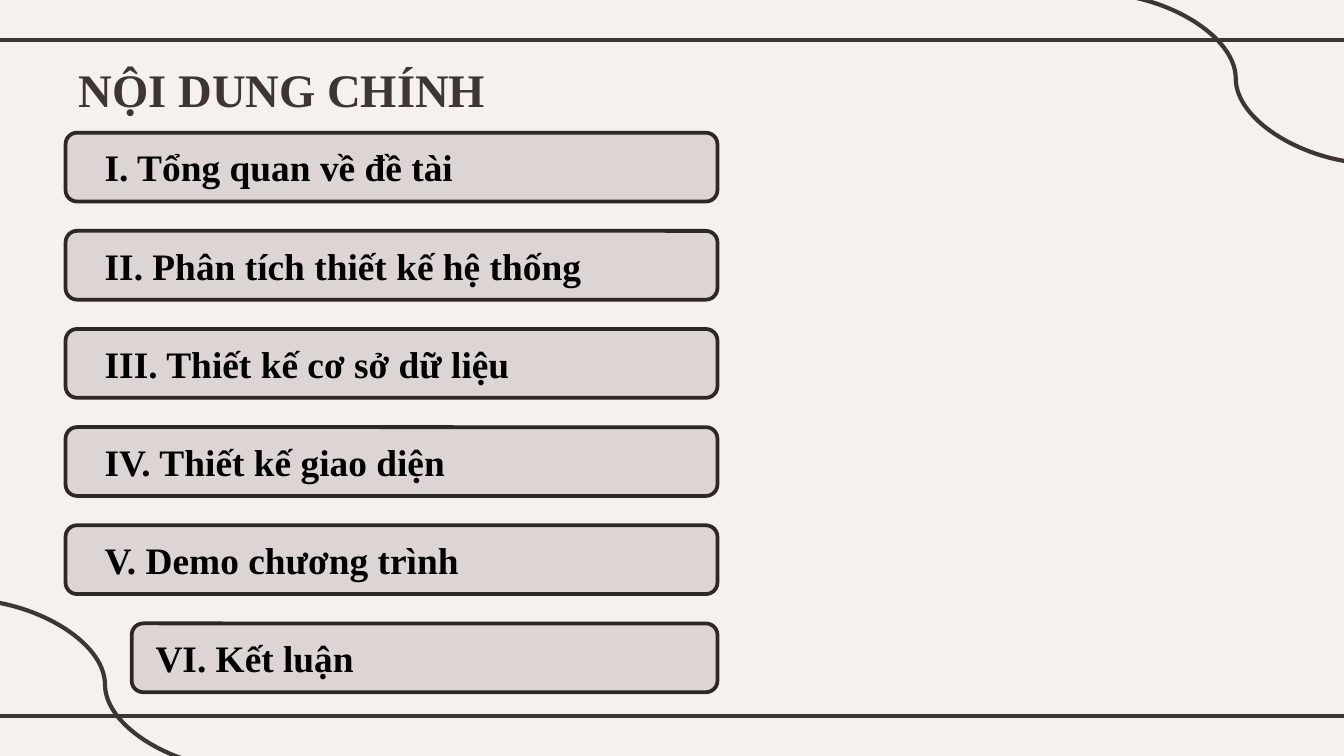
"""Build the contents slide with its six section bars."""
from typing import NamedTuple

from lxml.etree import SubElement
from pptx import Presentation
from pptx.dml.color import RGBColor
from pptx.enum.shapes import MSO_CONNECTOR, MSO_SHAPE
from pptx.oxml.ns import qn
from pptx.util import Cm, Pt

PAPER = RGBColor(0xF5, 0xF2, 0xEE)
BROWN = RGBColor(0x3F, 0x35, 0x33)
EDGE = RGBColor(0x2F, 0x27, 0x26)
MAUVE = RGBColor(0xDC, 0xD5, 0xD3)
BLACK = RGBColor(0, 0, 0)
FONT = "Times New Roman"
TOP, STEP, RIGHT = 2.51, 1.855, 13.56


class Stroke(NamedTuple):
    kind: MSO_CONNECTOR
    left: float
    top: float
    right: float
    base: float


class Item(NamedTuple):
    text: str
    width: float
    left: float = 1.24
    inset: float = 0.49


STROKES = [
    Stroke(MSO_CONNECTOR.STRAIGHT, -0.2, 0.76, 25.6, 0.76),
    Stroke(MSO_CONNECTOR.STRAIGHT, -0.2, 13.54, 25.6, 13.54),
    Stroke(MSO_CONNECTOR.CURVE, -0.69, 11.33, 4.66, 14.55),
    Stroke(MSO_CONNECTOR.CURVE, 20.68, -0.13, 26.03, 3.1),
]
ITEMS = [
    Item("I. Tổng quan về đề tài", 10.49),
    Item("II. Phân tích thiết kế hệ thống", 10.8),
    Item("III. Thiết kế cơ sở dữ liệu", 11.28),
    Item("IV. Thiết kế giao diện", 9.96),
    Item("V. Demo chương trình", 10.8),
    Item("VI. Kết luận", 9.8, 2.49, 0.2),
]


def draw_stroke(shapes, stroke: Stroke) -> None:
    """Draw one ruled line or corner curve."""
    line = shapes.add_connector(stroke.kind, *map(Cm, stroke[1:]))
    line.line.color.rgb = BROWN
    line.line.width = Pt(2.25)
    SubElement(line._element.spPr, qn("a:effectLst"))


def draw_text(shapes, text: str, left: float, top: float, width: float,
              height: float, size: float, color: RGBColor) -> None:
    """Draw one bold line of text."""
    box = shapes.add_textbox(Cm(left), Cm(top), Cm(width), Cm(height))
    frame = box.text_frame
    frame.word_wrap = True
    frame.text = text
    font = frame.paragraphs[0].font
    font.name, font.size, font.bold = FONT, Pt(size), True
    font.color.rgb = color


def draw_bar(shapes, item: Item, top: float) -> None:
    """Draw the rounded bar behind one item."""
    bar = shapes.add_shape(MSO_SHAPE.ROUNDED_RECTANGLE, Cm(item.left), Cm(top),
                           Cm(RIGHT - item.left), Cm(1.3))
    bar.shadow.inherit = False
    bar.fill.solid()
    bar.fill.fore_color.rgb = MAUVE
    bar.line.color.rgb = EDGE
    bar.line.width = Pt(2)


def main() -> None:
    """Build and save the slide."""
    deck = Presentation()
    deck.slide_width, deck.slide_height = Cm(25.4), Cm(14.29)
    slide = deck.slides.add_slide(deck.slide_layouts[6])
    slide.background.fill.solid()
    slide.background.fill.fore_color.rgb = PAPER
    shapes = slide.shapes
    for stroke in STROKES:
        draw_stroke(shapes, stroke)
    draw_text(shapes, "NỘI DUNG CHÍNH", 1.24, 1.02, 8.43, 1.32, 25, BROWN)
    for row, item in enumerate(ITEMS):
        top = TOP + row * STEP
        draw_bar(shapes, item, top)
        draw_text(shapes, item.text, item.left + item.inset, top + 0.1,
                  item.width, 1.12, 20, BLACK)
    deck.save("out.pptx")


if __name__ == "__main__":
    main()
